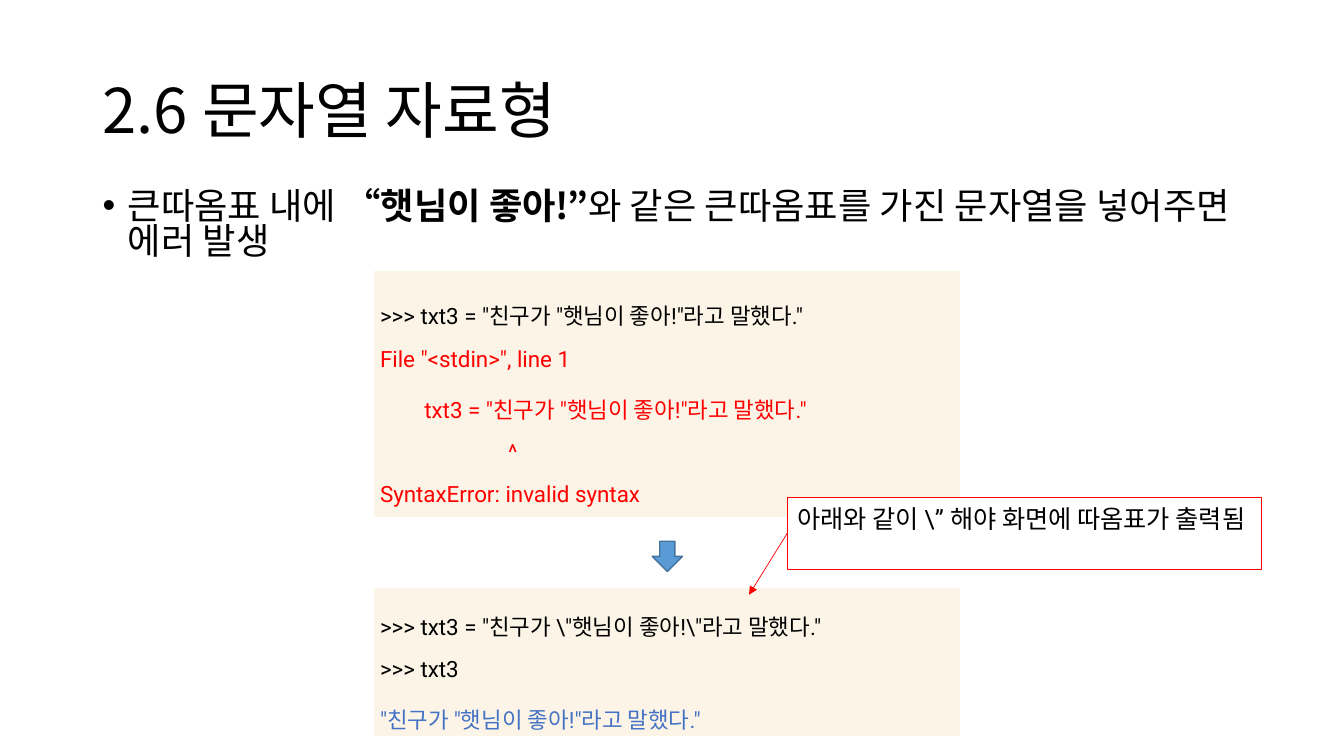
from lxml import etree
from pptx import Presentation
from pptx.dml.color import RGBColor
from pptx.enum.shapes import MSO_CONNECTOR, MSO_SHAPE
from pptx.enum.text import MSO_ANCHOR, PP_ALIGN
from pptx.oxml.ns import qn
from pptx.util import Inches, Pt

MIDDLE, TOP = MSO_ANCHOR.MIDDLE, MSO_ANCHOR.TOP
LEFT, JUSTIFY = PP_ALIGN.LEFT, PP_ALIGN.JUSTIFY
RECTANGLE, DOWN_ARROW = MSO_SHAPE.RECTANGLE, MSO_SHAPE.DOWN_ARROW
STRAIGHT = MSO_CONNECTOR.STRAIGHT

WIDTH, HEIGHT = Inches(13.33), Inches(7.5)
KOREAN, LATIN = "Noto Sans CJK KR", "Roboto"
COLORS = {
    "text": "000000", "error": "FF0000", "result": "4472C4", "code": "FCF5E7",
    "arrow": "5B9BD5", "arrow_edge": "43739E", "paper": "FFFFFF",
}
CODE_LEFT, CODE_WIDTH = 27.75, 43.73
CELL_FORMAT = {
    "margin_left": Inches(0.07), "margin_right": Inches(0.07),
    "margin_top": Inches(0.02), "margin_bottom": Inches(0.02),
    "vertical_anchor": MIDDLE,
}
CODE_FORMAT = {"alignment": JUSTIFY, "line_spacing": 1.6}
BODY_FORMAT = {"alignment": LEFT, "line_spacing": 0.8, "space_before": Pt(10)}


def color(name):
    """Return a named colour."""
    return RGBColor.from_string(COLORS[name])


def place(left, top, *size):
    """Turn percentages of the slide into lengths."""
    sides = (WIDTH, HEIGHT, WIDTH, HEIGHT)
    return [int(side * share / 100) for side, share in zip(sides, (left, top, *size))]


def apply_format(target, values):
    """Set each attribute in a dict of format values."""
    for name, value in values.items():
        setattr(target, name, value)


def add_run(paragraph, text, size, font=KOREAN, ink="text", bold=False):
    """Add a run with Latin and Korean fonts."""
    run = paragraph.add_run()
    run.text = text
    apply_format(run.font, {"size": Pt(size), "name": font, "bold": bold})
    run.font.color.rgb = color(ink)
    east_asian = etree.SubElement(run.font._element, qn("a:ea"))
    east_asian.set("typeface", KOREAN)


def indent(paragraph, margin, hanging=0):
    """Set the left margin and hanging indent in inches."""
    properties = paragraph._p.get_or_add_pPr()
    properties.set("marL", str(Inches(margin)))
    properties.set("indent", str(-Inches(hanging)))
    return properties


def add_text(slide, box, anchor, values):
    """Add a wrapping text box and return its paragraph."""
    frame = slide.shapes.add_textbox(*place(*box)).text_frame
    apply_format(frame, {"word_wrap": True, "vertical_anchor": anchor})
    paragraph = frame.paragraphs[0]
    apply_format(paragraph, values)
    return paragraph


def add_code(slide, top, height, lines):
    """Add a one-cell table of code lines."""
    frame = slide.shapes.add_table(1, 1, *place(CODE_LEFT, top, CODE_WIDTH, height))
    cell = frame.table.cell(0, 0)
    apply_format(cell, CELL_FORMAT)
    cell.fill.solid()
    cell.fill.fore_color.rgb = color("code")
    for index, (text, ink, margin) in enumerate(lines):
        frame = cell.text_frame
        paragraph = frame.add_paragraph() if index else frame.paragraphs[0]
        apply_format(paragraph, CODE_FORMAT)
        indent(paragraph, margin)
        add_run(paragraph, text, 16, LATIN, ink)


def add_box(slide, kind, box, fill, edge, weight):
    """Add a filled and outlined preset shape without a theme style."""
    shape = slide.shapes.add_shape(kind, *place(*box))
    shape._element.remove(shape._element.find(qn("p:style")))
    shape.shadow.inherit = False
    shape.fill.solid()
    shape.fill.fore_color.rgb = color(fill)
    shape.line.color.rgb = color(edge)
    shape.line.width = Pt(weight)
    return shape


def add_pointer(slide, start, end):
    """Add a thin line with an arrowhead at its end."""
    pointer = slide.shapes.add_connector(STRAIGHT, *place(*start), *place(*end))
    pointer.line.color.rgb = color("error")
    pointer.line.width = Pt(0.5)
    head = etree.SubElement(pointer.line._get_or_add_ln(), qn("a:tailEnd"))
    head.set("type", "triangle")
    etree.SubElement(pointer._element.spPr, qn("a:effectLst"))


def main():
    """Build and save the slide."""
    presentation = Presentation()
    apply_format(presentation, {"slide_width": WIDTH, "slide_height": HEIGHT})
    slide = presentation.slides.add_slide(presentation.slide_layouts[6])

    title = add_text(slide, (6.9, 5.33, 86.25, 19.33), MIDDLE, {"line_spacing": 0.9})
    add_run(title, "2.6 문자열 자료형", 44)

    body = add_text(slide, (6.9, 24.67, 89.8, 11.07), TOP, BODY_FORMAT)
    properties = indent(body, 0.25, 0.25)
    etree.SubElement(properties, qn("a:buFont")).set("typeface", "Arial")
    etree.SubElement(properties, qn("a:buChar")).set("char", "•")
    add_run(body, "큰따옴표 내에 ", 25.9)
    add_run(body, "“햇님이 좋아!”", 25.9, bold=True)
    add_run(body, "와 같은 큰따옴표를 가진 문자열을 넣어주면 에러 발생", 25.9)

    statement = 'txt3 = "친구가 "햇님이 좋아!"라고 말했다."'
    add_code(slide, 35.73, 32.67, [
        (f">>> {statement}", "text", 0),
        ('File "<stdin>", line 1', "error", 0),
        (statement, "error", 0.44),
        ("^", "error", 1.27),
        ("SyntaxError: invalid syntax", "error", 0),
    ])
    add_code(slide, 77.73, 19.75, [
        (r'>>> txt3 = "친구가 \"햇님이 좋아!\"라고 말했다."', "text", 0),
        (">>> txt3", "text", 0),
        ('"친구가 "햇님이 좋아!"라고 말했다."', "result", 0),
    ])

    add_box(slide, DOWN_ARROW, (48.53, 71.6, 2.25, 4), "arrow", "arrow_edge", 1)
    callout = add_box(slide, RECTANGLE, (58.58, 65.87, 35.25, 9.47), "paper", "error", 0.75)
    apply_format(callout.text_frame, {"word_wrap": True, "vertical_anchor": TOP})
    note = callout.text_frame.paragraphs[0]
    note.alignment = LEFT
    add_run(note, "아래와 같이 ", 18)
    add_run(note, "\\” 해야 화면에 따옴표가 출력됨", 18, LATIN)
    add_pointer(slide, (58.58, 70.53), (55.73, 78.67))

    presentation.save("out.pptx")


if __name__ == "__main__":
    main()
